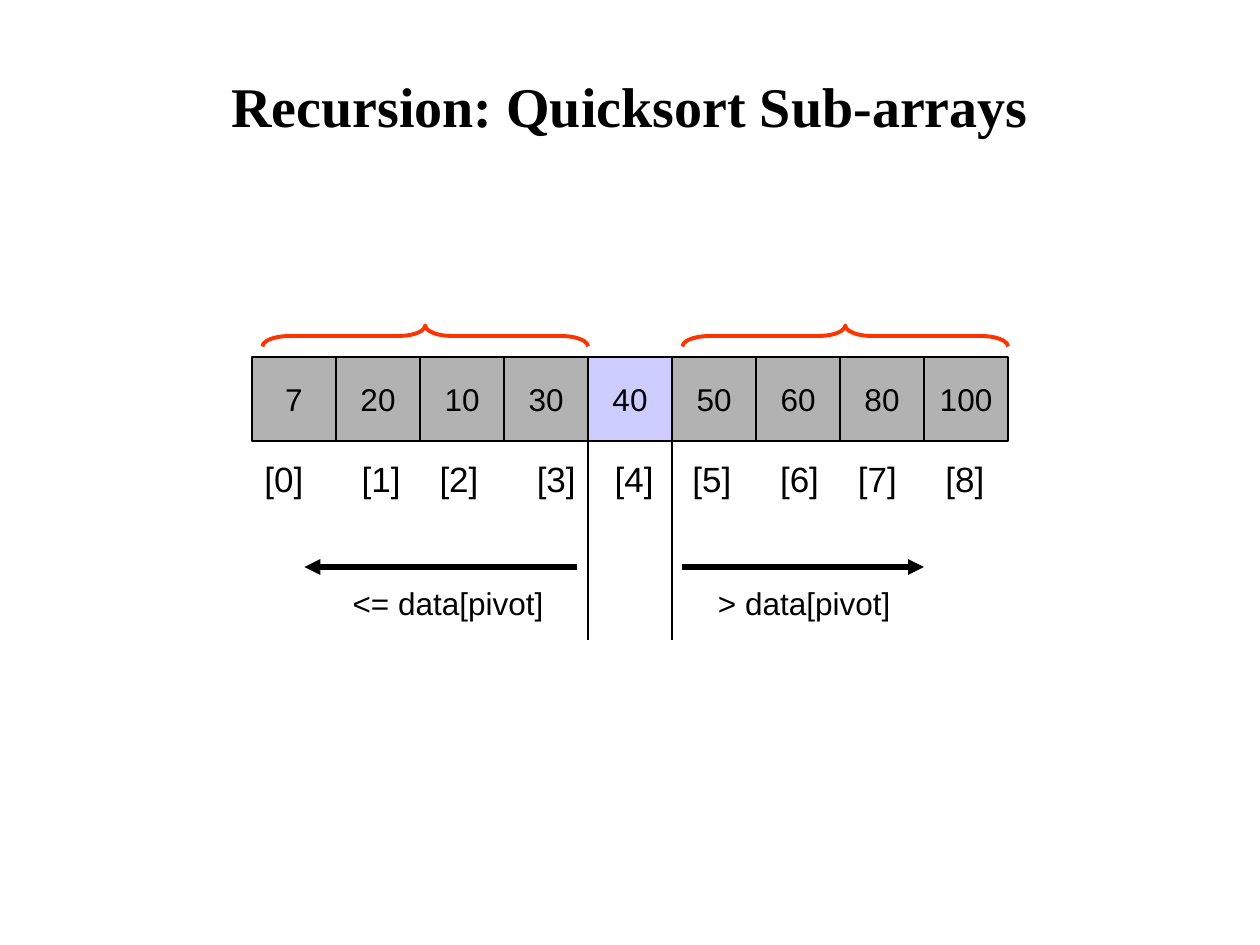
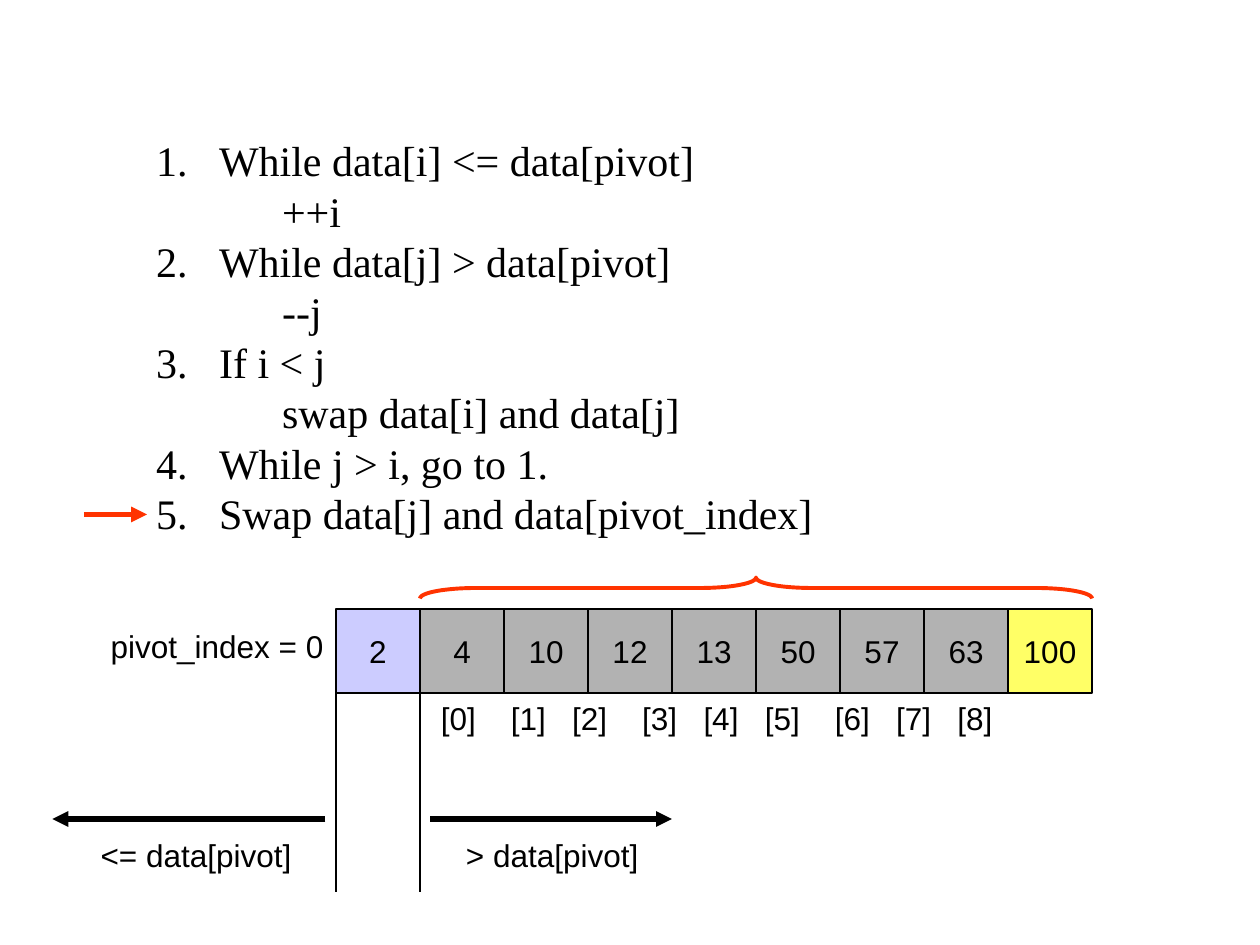
from itertools import accumulate
from lxml import etree
from pptx import Presentation
from pptx.dml.color import RGBColor
from pptx.enum.shapes import MSO_CONNECTOR, MSO_SHAPE
from pptx.enum.text import MSO_ANCHOR, PP_ALIGN
from pptx.oxml.ns import qn
from pptx.util import Inches, Pt

STRAIGHT = MSO_CONNECTOR.STRAIGHT
RECTANGLE, LEFT_BRACE = MSO_SHAPE.RECTANGLE, MSO_SHAPE.LEFT_BRACE
TOP, MIDDLE = MSO_ANCHOR.TOP, MSO_ANCHOR.MIDDLE
LEFT, CENTER = PP_ALIGN.LEFT, PP_ALIGN.CENTER
SANS, SERIF = "Arial", "Times New Roman"
BLACK, RED = "000000", "FF3300"
SORTED_GRAY, PIVOT_BLUE, LAST_YELLOW = "B2B2B2", "CCCCFF", "FFFF66"

presentation = Presentation()
presentation.slide_width, presentation.slide_height = Inches(10), Inches(7.5)
UNIT = presentation.slide_width // 120
CELL = 8
BRACE_HEIGHT = 2
SPACE_EM = 0.278
LABEL_SPACES = 4


def write(shape, lines, size=18, font=SANS, bold=False, align=LEFT, anchor=TOP):
    frame = shape.text_frame
    frame.text = "\n".join(lines)
    frame.word_wrap = False
    frame.vertical_anchor = anchor
    for paragraph in frame.paragraphs:
        paragraph.alignment = align
        for run in paragraph.runs:
            run.font.size, run.font.name, run.font.bold = Pt(size), font, bold
            run.font.color.rgb = RGBColor.from_string(BLACK)
    return frame


def draw_line(slide, start, end, width, color=BLACK, arrow=False):
    line = slide.shapes.add_connector(STRAIGHT, *[int(value * UNIT) for value in start + end])
    line.line.width = Pt(width)
    line.line.color.rgb = RGBColor.from_string(color)
    properties = line._element.spPr
    if arrow:
        etree.SubElement(properties.find(qn("a:ln")), qn("a:tailEnd"), type="triangle")
    etree.SubElement(properties, qn("a:effectLst"))


arrays = [
    {"left": 24, "top": 34, "values": [7, 20, 10, 30, 40, 50, 60, 80, 100], "pivot": 4,
     "fills": {4: PIVOT_BLUE}, "braces": [(25, 56), (65, 96)],
     "index_box": (24, 43, 72), "index_size": 20, "index_gaps": [6, 4, 6, 4, 4, 5, 4, 5]},
    {"left": 32, "top": 58, "values": [2, 4, 10, 12, 13, 50, 57, 63, 100], "pivot": 0,
     "fills": {0: PIVOT_BLUE, 8: LAST_YELLOW}, "braces": [(40, 104)],
     "index_box": (40.8, 66, 56), "index_size": 18, "index_gaps": [4, 3, 4, 3, 3, 4, 3, 3]},
]

slides = []
for array in arrays:
    slide = presentation.slides.add_slide(presentation.slide_layouts[6])
    slides.append(slide)
    top = array["top"]
    for column, value in enumerate(array["values"]):
        cell = slide.shapes.add_shape(RECTANGLE, (array["left"] + column * CELL) * UNIT,
                                      top * UNIT, CELL * UNIT, CELL * UNIT)
        cell.shadow.inherit = False
        cell.fill.solid()
        cell.fill.fore_color.rgb = RGBColor.from_string(array["fills"].get(column, SORTED_GRAY))
        cell.line.color.rgb = RGBColor.from_string(BLACK)
        cell.line.width = Pt(0.75)
        write(cell, [str(value)], align=CENTER, anchor=MIDDLE)

    pivot_left = array["left"] + array["pivot"] * CELL
    pivot_right = pivot_left + CELL
    for edge in (pivot_left, pivot_right):
        draw_line(slide, (edge, top), (edge, top + 27), 0.75)
    sides = [(pivot_left - 1, pivot_left - 27, pivot_left - 23.6, 21, "<= data[pivot]"),
             (pivot_right + 1, pivot_right + 24, pivot_right + 3.2, 19, "> data[pivot]")]
    for start, end, label_left, label_width, label in sides:
        draw_line(slide, (start, top + 20), (end, top + 20), 3, arrow=True)
        box = slide.shapes.add_textbox(int(label_left * UNIT), (top + 21) * UNIT,
                                       label_width * UNIT, Inches(0.4))
        write(box, [label])

    for start, end in array["braces"]:
        length = end - start
        brace = slide.shapes.add_shape(
            LEFT_BRACE, int(((start + end) / 2 - BRACE_HEIGHT / 2) * UNIT),
            int((top - 2 - length / 2) * UNIT), BRACE_HEIGHT * UNIT, length * UNIT)
        brace.rotation = 90
        brace.adjustments[0] = length / 12 / BRACE_HEIGHT
        brace.shadow.inherit = False
        brace.fill.background()
        brace.line.color.rgb = RGBColor.from_string(RED)
        brace.line.width = Pt(2.25)

    index_left, index_top, index_width = array["index_box"]
    size = array["index_size"]
    box = slide.shapes.add_textbox(int(index_left * UNIT), index_top * UNIT,
                                   index_width * UNIT, Pt(size * 1.2 + 7.2))
    labels = [f"[{index}]" for index in range(len(array["values"]))]
    frame = write(box, ["\t".join(labels)], size)
    tabs = etree.SubElement(frame.paragraphs[0]._p.get_or_add_pPr(), qn("a:tabLst"))
    for spaces in accumulate(gap + LABEL_SPACES for gap in array["index_gaps"]):
        etree.SubElement(tabs, qn("a:tab"), pos=str(Pt(spaces * SPACE_EM * size)), algn="l")

array_slide, steps_slide = slides

title = array_slide.shapes.add_textbox(9 * UNIT, 5 * UNIT, 102 * UNIT, 10 * UNIT)
write(title, ["Recursion: Quicksort Sub-arrays"], 32, SERIF, True, CENTER, MIDDLE)

steps = [(0, "While data[i] <= data[pivot]"), (1, "++i"),
         (0, "While data[j] > data[pivot]"), (1, "--j"),
         (0, "If i < j"), (1, "swap data[i] and data[j]"),
         (0, "While j > i, go to 1."), (0, "Swap data[j] and data[pivot_index]")]
box = steps_slide.shapes.add_textbox(Inches(1.14), Inches(1.02), Inches(5.41), Inches(4.5))
frame = write(box, [text for level, text in steps], 24, SERIF)
for paragraph, (level, text) in zip(frame.paragraphs, steps):
    paragraph.level = level
    paragraph.line_spacing = Pt(28.8)
    properties = paragraph._p.get_or_add_pPr()
    properties.set("marL", str(Inches(0.5 + 0.5 * level)))
    if level:
        properties.set("indent", "0")
        etree.SubElement(properties, qn("a:buNone"))
    else:
        properties.set("indent", str(-Inches(0.5)))
        etree.SubElement(properties, qn("a:buAutoNum"), type="arabicPeriod")

draw_line(steps_slide, (8, 49), (14, 49), 3, RED, arrow=True)
box = steps_slide.shapes.add_textbox(Inches(0.78), Inches(4.93), Inches(1.89), Inches(0.4))
write(box, ["pivot_index = 0"])

presentation.save("out.pptx")
